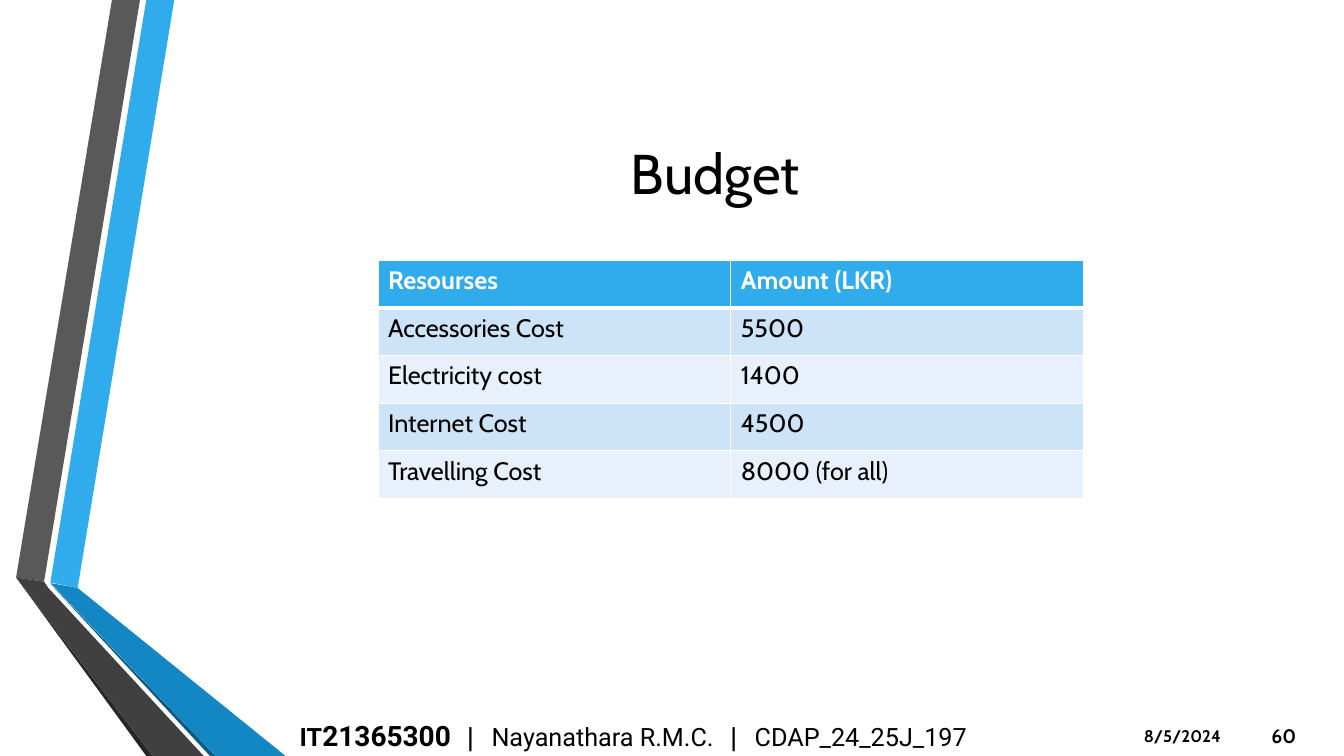
import pptx
import pptx.util
import pptx.dml.color
import pptx.enum.text
import pptx.oxml
import pptx.oxml.ns

Pt = pptx.util.Pt
ALIGN = pptx.enum.text.PP_ALIGN
ANCHOR = pptx.enum.text.MSO_ANCHOR

COLOURS = {
    "text": "000000", "white": "FFFFFF", "accent": "30ACEC",
    "accent_dark": "1287C3", "accent_edge": "0C5A82",
    "grey": "595959", "grey_dark": "404040", "grey_edge": "262626",
    "band_dark": "CDE3F8", "band_light": "E8F1FB",
}

# Outlines in points, measured from the slide's top left corner
RIBBONS = [
    ("accent", [(36, 416), (55.5, 420), (124.5, 0), (104.5, 0)]),
    ("grey", [(100, 0), (80, 0), (11.5, 412.5), (31.5, 415.5)]),
    ("grey_edge", [(11.5, 412.5), (104.5, 540), (109, 540)]),
    ("accent_edge", [(36, 417), (150, 540), (154, 540)]),
    ("accent_dark", [(36, 416.5), (154, 540), (204, 540), (55.5, 420)]),
    ("grey_dark", [(145.5, 540), (34.5, 420), (31.5, 415.5), (11.5, 412.5), (109, 540)]),
]

BUDGET = [
    ("Resourses", "Amount (LKR)"),
    ("Accessories Cost", "5500"),
    ("Electricity cost", "1400"),
    ("Internet Cost", "4500"),
    ("Travelling Cost", "8000 (for all)"),
]


def colour(name):
    return pptx.dml.color.RGBColor.from_string(COLOURS[name])


def set_font(font, size, name="Cabin", bold=False, ink="text"):
    font.size, font.name, font.bold = Pt(size), name, bold
    font.color.rgb = colour(ink)


def add_ribbons(page, left, top):
    for fill, points in RIBBONS:
        corners = [(Pt(left + x), Pt(top + y)) for x, y in points]
        builder = page.shapes.build_freeform(*corners[0], scale=1.0)
        builder.add_line_segments(corners[1:], close=True)
        ribbon = builder.convert_to_shape()
        ribbon.shadow.inherit = False
        ribbon.fill.solid()
        ribbon.fill.fore_color.rgb = colour(fill)
        ribbon.line.fill.background()


def add_title(page, left, top, width, height):
    title = page.shapes.title
    title.left, title.top = Pt(left), Pt(top)
    title.width, title.height = Pt(width), Pt(height)
    frame = title.text_frame
    frame.text = "Budget"
    frame.vertical_anchor = ANCHOR.MIDDLE
    para = frame.paragraphs[0]
    para.alignment = ALIGN.CENTER
    set_font(para.font, 40)


def add_text(page, left, top, width, height, anchor=ANCHOR.MIDDLE):
    box = page.shapes.add_textbox(Pt(left), Pt(top), Pt(width), Pt(height))
    box.text_frame.word_wrap = True
    box.text_frame.vertical_anchor = anchor
    return box.text_frame.paragraphs[0]


def set_border(cell, side, width):
    line = pptx.oxml.parse_xml(
        f'<a:{side} {pptx.oxml.ns.nsdecls("a")} w="{Pt(width)}"><a:solidFill>'
        f'<a:srgbClr val="{COLOURS["white"]}"/></a:solidFill></a:{side}>')
    return cell.append(line)


def add_budget(page, left, top, width, height):
    rows, columns = len(BUDGET), len(BUDGET[0])
    table = page.shapes.add_table(
        rows, columns, Pt(left), Pt(top), Pt(width), Pt(height)).table
    for row, texts in enumerate(BUDGET):
        header = row == 0
        fill = "accent" if header else ("band_light", "band_dark")[row % 2]
        for column, text in enumerate(texts):
            cell = table.cell(row, column)
            cell.text = text
            set_font(cell.text_frame.paragraphs[0].font, 18, bold=header,
                     ink="white" if header else "text")
            # Borders come before the fill in the cell's properties
            properties = cell._tc.get_or_add_tcPr()
            for side in ("lnL", "lnR", "lnT", "lnB"):
                thick = (row, side) in ((0, "lnB"), (1, "lnT"))
                set_border(properties, side, 3 if thick else 1)
            cell.fill.solid()
            cell.fill.fore_color.rgb = colour(fill)


def add_footer(page, left, top, width, height):
    # Author line, spaced by tab stops
    para = add_text(page, left, top, 536, height)
    stops = "".join(f'<a:tab pos="{Pt(stop)}" algn="l"/>' for stop in (120, 137, 308, 325))
    para._p.get_or_add_pPr().append(pptx.oxml.parse_xml(
        f'<a:tabLst {pptx.oxml.ns.nsdecls("a")}>{stops}</a:tabLst>'))
    for text, size, name, bold in [
        ("IT", 18, "Roboto", True),
        ("21365300", 20, "Roboto", True),
        ("\t|\t", 18, "Cabin", False),
        ("Nayanathara R.M.C.", 18, "Roboto", False),
        ("\t|\t", 18, "Cabin", False),
        ("CDAP_24_25J_197", 18, "Roboto", False),
    ]:
        span = para.add_run()
        span.text = text
        set_font(span.font, size, name, bold)

    # Date and slide number, set from the right edge
    right = left + width
    date = add_text(page, right - 144, top + 4, 84, 22, ANCHOR.TOP)
    date.text = "8/5/2024"
    set_font(date.font, 12, bold=True)
    number = add_text(page, right - 53, top, 53, height)
    number.text = "60"
    set_font(number.font, 14, bold=True)


def main():
    deck = pptx.Presentation()
    deck.slide_width, deck.slide_height = Pt(960), Pt(540)
    page = deck.slides.add_slide(deck.slide_layouts[5])
    add_ribbons(page, 0, 0)
    add_title(page, 116.5, 54, 789, 138)
    add_budget(page, 270, 186, 504, 170)
    add_footer(page, 207, 511, 747, 29)
    deck.save("out.pptx")


if __name__ == "__main__":
    main()
